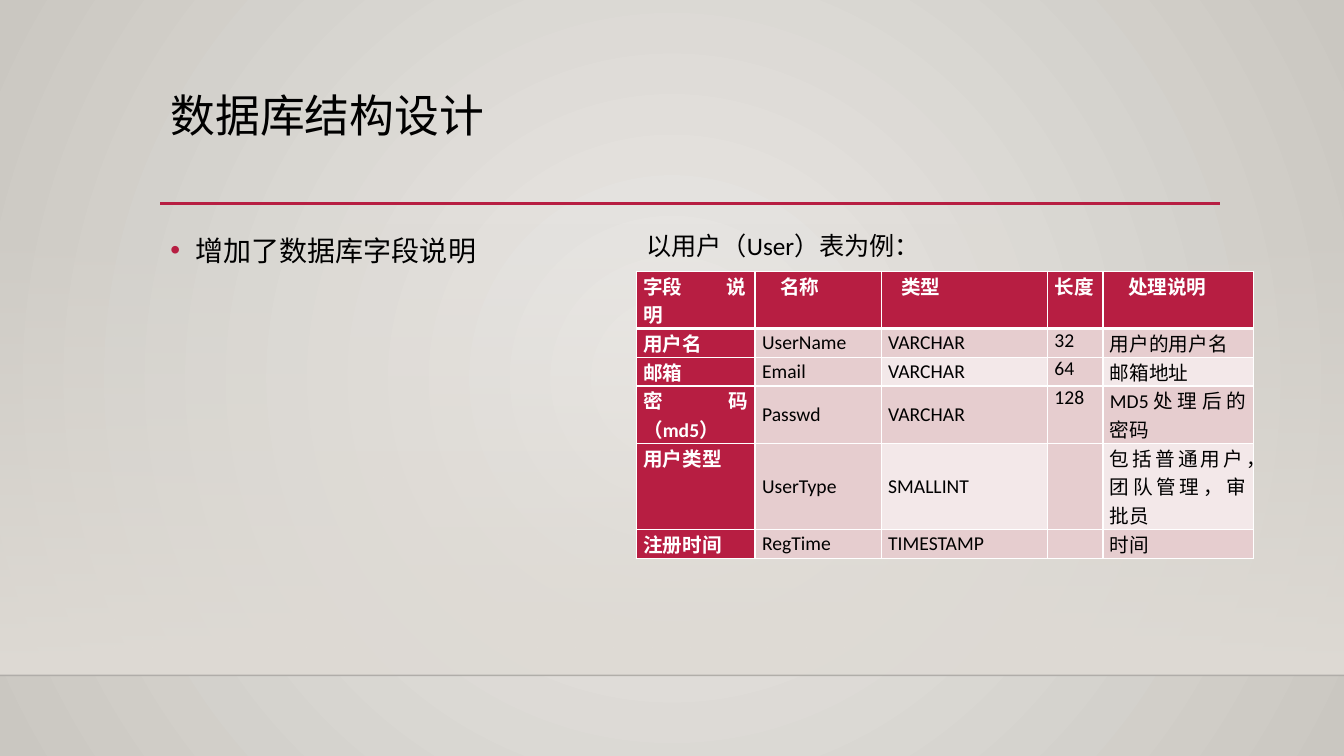
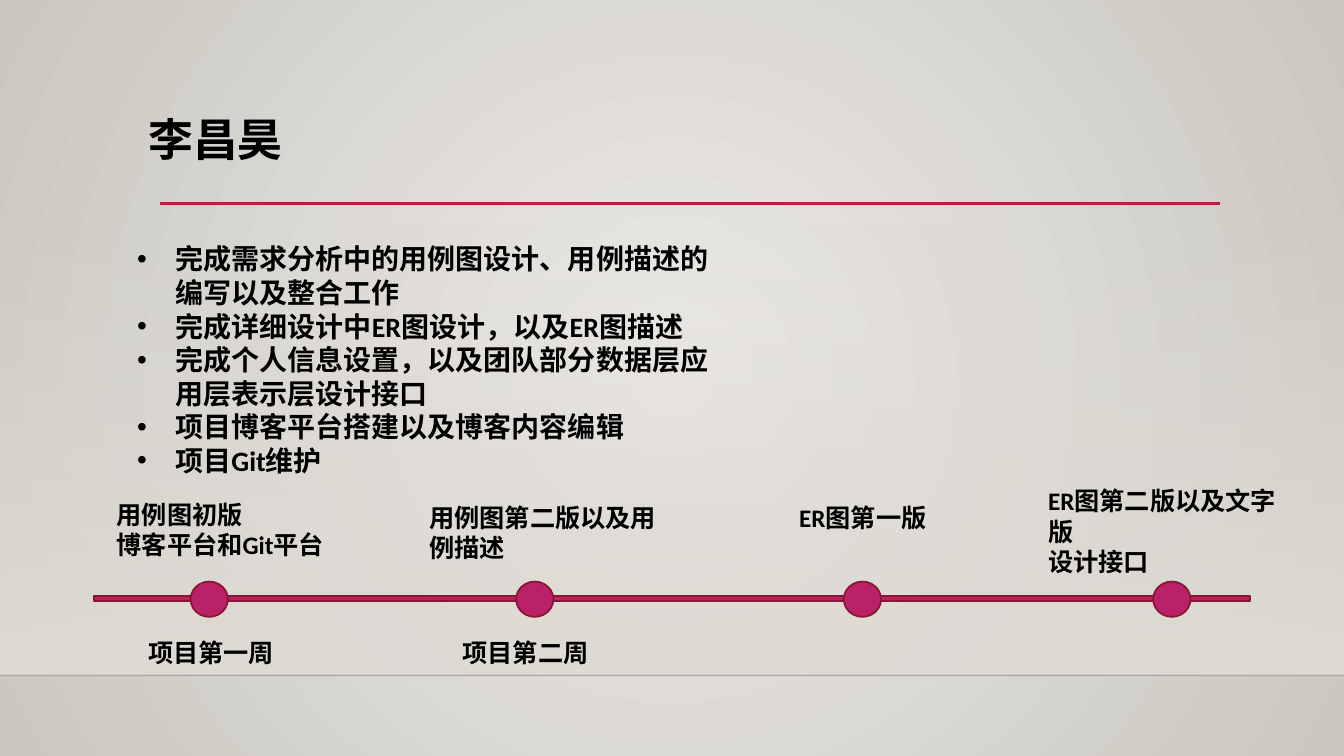
from dataclasses import dataclass
from typing import NamedTuple

from lxml.etree import SubElement
from pptx import Presentation
from pptx.dml.color import RGBColor
from pptx.enum.lang import MSO_LANGUAGE_ID
from pptx.enum.shapes import MSO_CONNECTOR, MSO_SHAPE
from pptx.enum.text import MSO_ANCHOR, MSO_AUTO_SIZE, PP_ALIGN
from pptx.oxml import parse_xml
from pptx.oxml.ns import nsdecls, qn
from pptx.util import Emu, Inches, Pt

SLIDE_WIDTH = Inches(13.333)
SLIDE_HEIGHT = Inches(7.5)

CRIMSON = "B71E42"
MAGENTA = "BA2169"
OUTLINE = "871631"
SAND = "DFDBD5"
ROSE = "E6CDCF"
PALE_ROSE = "F3E8E9"
BLACK = "000000"
WHITE = "FFFFFF"


class Box(NamedTuple):
    """Position and size as percentages of the slide."""
    left: float
    top: float
    width: float
    height: float


@dataclass(frozen=True)
class TextStyle:
    size: float
    bold: bool = False
    color: str = BLACK
    font: str = "Calibri"


@dataclass(frozen=True)
class Milestone:
    dot_left: float
    label: Box
    text: str
    week: str = ""
    week_left: float = 0


@dataclass(frozen=True)
class Column:
    heading: str
    width: float
    indent: float = 0
    middle: bool = False
    striped: bool = False


COLUMNS = [
    Column("字段\t说明", 8.85),
    Column("名称", 9.38, indent=0.18, middle=True),
    Column("类型", 12.38, indent=0.13, middle=True, striped=True),
    Column("长度", 4.13),
    Column("处理说明", 11.18, indent=0.18, striped=True),
]
FIELDS = [
    ("用户名", "UserName", "VARCHAR", "32", "用户的用户名"),
    ("邮箱", "Email", "VARCHAR", "64", "邮箱地址"),
    ("密码（md5）", "Passwd", "VARCHAR", "128", "MD5处理后的密码"),
    ("用户类型", "UserType", "SMALLINT", "", "包括普通用户，团队管理，审批员"),
    ("注册时间", "RegTime", "TIMESTAMP", "", "时间"),
]
LINES_PER_ROW = [2, 1, 1, 2, 3, 1]
LINE_HEIGHT = 3.8

TASKS = [
    "完成需求分析中的用例图设计、用例描述的编写以及整合工作",
    "完成详细设计中ER图设计，以及ER图描述",
    "完成个人信息设置，以及团队部分数据层应用层表示层设计接口",
    "项目博客平台搭建以及博客内容编辑",
    "项目Git维护",
]
LABEL_WIDTH = 19.95
MILESTONES = [
    Milestone(14.18, Box(7.95, 65.33, LABEL_WIDTH, 9.47),
              "用例图初版\n博客平台和Git平台", "项目第一周", 10.28),
    Milestone(38.4, Box(31.2, 65.73, LABEL_WIDTH, 9.47),
              "用例图第二版以及用例描述", "项目第二周", 33.68),
    Milestone(62.78, Box(58.73, 65.73, LABEL_WIDTH, 5.33), "ER图第一版"),
    Milestone(85.8, Box(77.25, 63.6, LABEL_WIDTH, 13.47),
              "ER图第二版以及文字版\n设计接口"),
]


# Lengths and colours
def across(share: float) -> Emu:
    return Emu(round(SLIDE_WIDTH * share / 100))


def down(share: float) -> Emu:
    return Emu(round(SLIDE_HEIGHT * share / 100))


def place(box: Box) -> tuple:
    return across(box.left), down(box.top), across(box.width), down(box.height)


def rgb(color: str) -> RGBColor:
    return RGBColor.from_string(color)


# Text
def format_runs(paragraph, style: TextStyle) -> None:
    for run in paragraph.runs:
        run.font.name = style.font
        run.font.size = Pt(style.size)
        run.font.bold = style.bold
        run.font.color.rgb = rgb(style.color)
        run.font.language_id = MSO_LANGUAGE_ID.SIMPLIFIED_CHINESE


def write_text(shape, text: str, style: TextStyle, wrap: bool = True,
               line_spacing: float = 1.0) -> None:
    text_frame = shape.text_frame
    text_frame.text = text
    text_frame.word_wrap = wrap
    text_frame.auto_size = MSO_AUTO_SIZE.NONE
    text_frame.vertical_anchor = MSO_ANCHOR.TOP
    for paragraph in text_frame.paragraphs:
        paragraph.alignment = PP_ALIGN.LEFT
        paragraph.line_spacing = line_spacing
        paragraph.space_before = Pt(0)
        format_runs(paragraph, style)


def add_text(slide, box: Box, text: str, style: TextStyle, wrap: bool = True) -> None:
    write_text(slide.shapes.add_textbox(*place(box)), text, style, wrap)


def fill_placeholder(shape, box: Box, text: str, style: TextStyle,
                     line_spacing: float = 1.0) -> None:
    shape.left, shape.top, shape.width, shape.height = place(box)
    write_text(shape, text, style, line_spacing=line_spacing)


def add_bullets(shape, color: str, indent: float) -> None:
    for paragraph in shape.text_frame.paragraphs:
        properties = paragraph._p.get_or_add_pPr()
        properties.set("marL", str(Inches(indent)))
        properties.set("indent", str(-Inches(indent)))
        bullet_color = SubElement(properties, qn("a:buClr"))
        SubElement(bullet_color, qn("a:srgbClr"), val=color)
        SubElement(properties, qn("a:buFont"), typeface="Arial")
        SubElement(properties, qn("a:buChar"), char="•")


# Shapes and lines
def add_solid(slide, kind: MSO_SHAPE, box: Box):
    shape = slide.shapes.add_shape(kind, *place(box))
    shape.shadow.inherit = False
    shape.fill.solid()
    shape.fill.fore_color.rgb = rgb(MAGENTA)
    shape.line.color.rgb = rgb(OUTLINE)
    shape.line.width = Pt(1.25)
    return shape


def add_rule(slide, left: float, right: float, top: float, color: str, width: float):
    rule = slide.shapes.add_connector(
        MSO_CONNECTOR.STRAIGHT, across(left), down(top), across(right), down(top))
    rule.line.color.rgb = rgb(color)
    rule.line.width = Pt(width)
    SubElement(rule.element.spPr, qn("a:effectLst"))
    return rule


def set_gradient(properties, start: str, end: str, direction: str,
                 start_alpha: int = 100) -> None:
    gradient = parse_xml(
        f'<a:gradFill {nsdecls("a")} rotWithShape="1"><a:gsLst>'
        f'<a:gs pos="0"><a:srgbClr val="{start}">'
        f'<a:alpha val="{start_alpha * 1000}"/></a:srgbClr></a:gs>'
        f'<a:gs pos="100000"><a:srgbClr val="{end}"/></a:gs>'
        f'</a:gsLst>{direction}</a:gradFill>')
    properties.replace(properties.find(qn("a:solidFill")), gradient)


# Backdrop shared by all slides, moved to the master once drawn
def build_master(presentation, slide) -> None:
    master = presentation.slide_master
    master.background.fill.solid()
    set_gradient(
        master.element.find(f".//{qn('p:bgPr')}"), "ECEAE7", "CAC7C1",
        '<a:path path="circle"><a:fillToRect l="50000" t="50000" r="50000" b="50000"/></a:path>')

    band = add_solid(slide, MSO_SHAPE.RECTANGLE, Box(0, 29.47, 100, 59.86))
    band.line.fill.background()
    set_gradient(band.element.spPr, SAND, SAND, '<a:lin ang="5400000" scaled="0"/>', 0)

    floor = add_rule(slide, 0, 100, 89.33, "000001", 1)
    floor_color = floor.element.spPr.find(f".//{qn('a:srgbClr')}")
    SubElement(floor_color, qn("a:alpha"), val="20000")
    title_rule = add_rule(slide, 11.93, 90.75, 26.93, CRIMSON, 2.5)
    for shape in (band, floor, title_rule):
        master.shapes.element.append(shape.element)


# Field table
def set_borders(cell, row: int) -> None:
    properties = cell._tc.get_or_add_tcPr()
    widths = {"L": 1, "R": 1, "T": 3 if row == 1 else 1, "B": 3 if row == 0 else 1}
    for side, width in widths.items():
        border = SubElement(properties, qn(f"a:ln{side}"), w=str(Pt(width)))
        color = SubElement(SubElement(border, qn("a:solidFill")), qn("a:srgbClr"))
        color.set("val", WHITE)


def format_cell(cell, text: str, row: int, column_index: int) -> None:
    column = COLUMNS[column_index]
    is_heading = row == 0 or column_index == 0
    set_borders(cell, row)
    cell.fill.solid()
    stripe = PALE_ROSE if column.striped and row % 2 == 0 else ROSE
    cell.fill.fore_color.rgb = rgb(CRIMSON if is_heading else stripe)
    cell.margin_left = cell.margin_right = Inches(0.07)
    cell.margin_top = cell.margin_bottom = 0
    centred = column.middle and row > 0
    cell.vertical_anchor = MSO_ANCHOR.MIDDLE if centred else MSO_ANCHOR.TOP

    paragraph = cell.text_frame.paragraphs[0]
    paragraph.text = text
    paragraph.alignment = PP_ALIGN.JUSTIFY if row else PP_ALIGN.LEFT
    properties = paragraph._p.get_or_add_pPr()
    if row == 0:
        properties.set("marL", str(Inches(column.indent)))
    if "\t" in text:
        tabs = SubElement(properties, qn("a:tabLst"))
        SubElement(tabs, qn("a:tab"), pos=str(Inches(0.83)), algn="l")
    format_runs(paragraph, TextStyle(14, is_heading, WHITE if is_heading else BLACK))
    if not text:
        SubElement(paragraph._p, qn("a:endParaRPr"), sz="1400")


def add_field_table(slide) -> None:
    rows = [tuple(column.heading for column in COLUMNS), *FIELDS]
    box = Box(47.33, 35.87, sum(column.width for column in COLUMNS),
              sum(LINES_PER_ROW) * LINE_HEIGHT)
    table = slide.shapes.add_table(len(rows), len(COLUMNS), *place(box)).table
    for table_column, column in zip(table.columns, COLUMNS):
        table_column.width = across(column.width)
    for row, (texts, lines) in enumerate(zip(rows, LINES_PER_ROW)):
        table.rows[row].height = down(lines * LINE_HEIGHT)
        for column_index, text in enumerate(texts):
            format_cell(table.cell(row, column_index), text, row, column_index)


# Slides
def build_database_slide(slide) -> None:
    title, body = slide.placeholders
    fill_placeholder(title, Box(11.93, 11.73, 78.75, 15.33), "数据库结构设计",
                     TextStyle(32), 0.9)
    fill_placeholder(body, Box(11.93, 29.33, 78.75, 50.27), "增加了数据库字段说明",
                     TextStyle(20), 1.2)
    add_bullets(body, CRIMSON, 0.25)
    add_field_table(slide)
    add_text(slide, Box(47.33, 29.87, 22.28, 5.33), "以用户（User）表为例：",
             TextStyle(18), wrap=False)


def build_member_slide(slide) -> None:
    title, body = slide.placeholders
    fill_placeholder(title, Box(10.28, 14.13, 28.95, 8.53), "李昌昊",
                     TextStyle(32, bold=True, font="Arial"))
    fill_placeholder(body, Box(9.45, 31.33, 45.75, 32.8), "\n".join(TASKS),
                     TextStyle(20, bold=True))
    add_bullets(body, BLACK, 0.38)

    # Timeline
    label_style = TextStyle(18, bold=True)
    add_solid(slide, MSO_SHAPE.RECTANGLE, Box(6.98, 78.8, 86.03, 0.67))
    for milestone in MILESTONES:
        add_solid(slide, MSO_SHAPE.OVAL, Box(milestone.dot_left, 76.93, 2.78, 4.67))
        add_text(slide, milestone.label, milestone.text, label_style)
        if milestone.week:
            add_text(slide, Box(milestone.week_left, 83.6, LABEL_WIDTH, 5.33),
                     milestone.week, label_style)


def main() -> None:
    presentation = Presentation()
    presentation.slide_width = SLIDE_WIDTH
    presentation.slide_height = SLIDE_HEIGHT
    layout = presentation.slide_layouts[1]
    database_slide = presentation.slides.add_slide(layout)
    build_master(presentation, database_slide)
    build_database_slide(database_slide)
    build_member_slide(presentation.slides.add_slide(layout))
    presentation.save("out.pptx")


if __name__ == "__main__":
    main()
